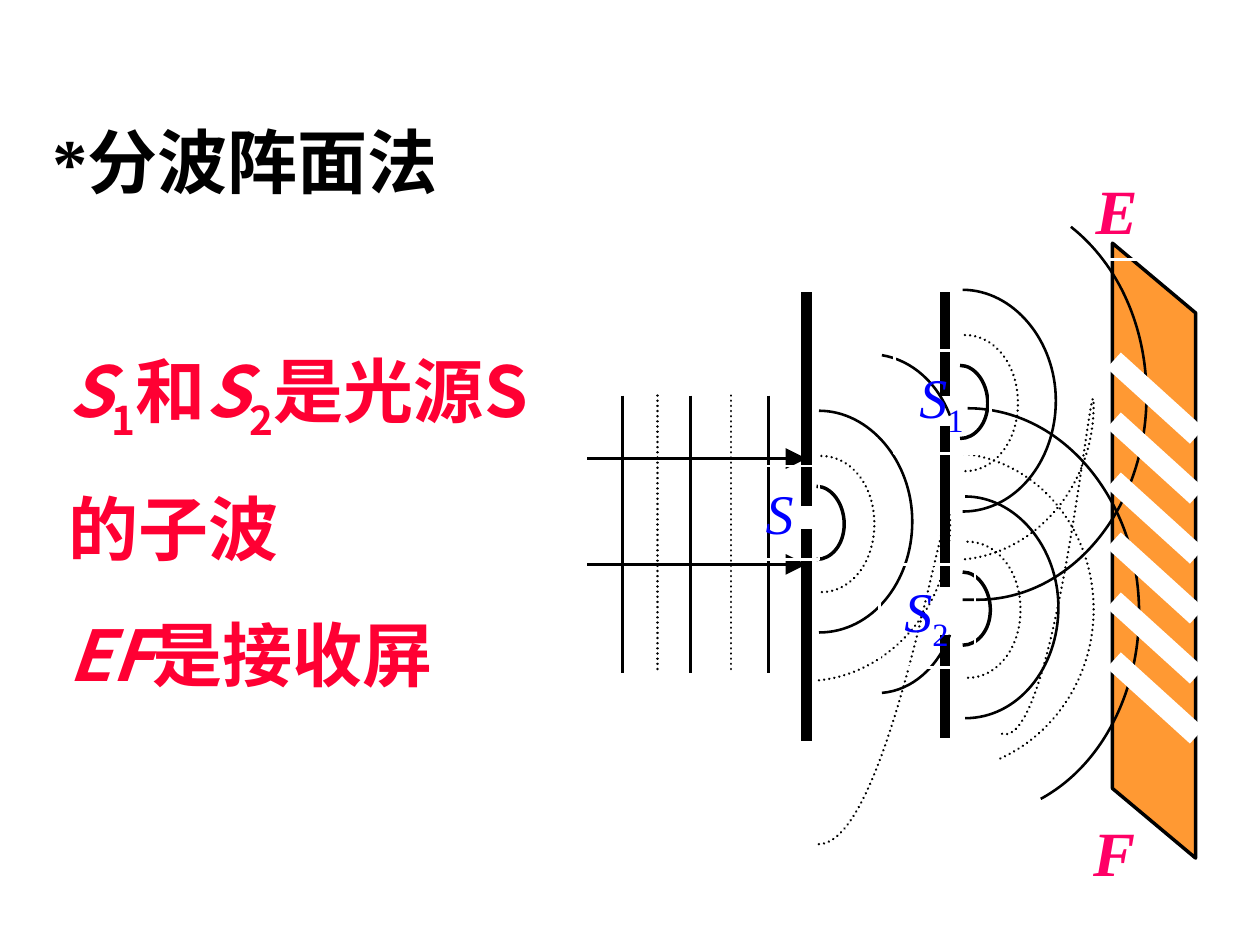
from dataclasses import dataclass

from lxml import etree
from pptx import Presentation
from pptx.dml.color import RGBColor
from pptx.enum.dml import MSO_LINE
from pptx.enum.shapes import MSO_CONNECTOR, MSO_SHAPE
from pptx.enum.text import MSO_ANCHOR, MSO_AUTO_SIZE, PP_ALIGN
from pptx.oxml.ns import qn
from pptx.util import Inches, Pt


@dataclass(frozen=True)
class Theme:
    black: str = "000000"
    white: str = "FFFFFF"
    screen: str = "FF9933"
    edge: str = "FF0066"
    note: str = "FF0033"
    source: str = "0000FF"
    serif: str = "Times New Roman"
    sans: str = "Noto Sans CJK SC"
    body_size: float = 20
    edge_size: float = 18
    source_size: float = 16
    thin: float = 0.75
    medium: float = 1
    stripe: float = 6
    barrier: float = 3


class Canvas:
    def __init__(self, slide, theme):
        self.slide = slide
        self.theme = theme

    def stroke(self, line, color, width, dotted=False):
        line.color.rgb = RGBColor.from_string(color)
        line.width = Pt(width)
        if dotted:
            line.dash_style = MSO_LINE.ROUND_DOT

    def round_cap(self, sp):
        sp._element.spPr.find(qn("a:ln")).set("cap", "rnd")

    def line(self, x1, y1, x2, y2, color, width, dotted=False, arrow=False):
        ends = [Inches(v) for v in (x1, y1, x2, y2)]
        cxn = self.slide.shapes.add_connector(MSO_CONNECTOR.STRAIGHT, *ends)
        self.stroke(cxn.line, color, width, dotted)
        spPr = cxn._element.spPr
        if dotted:
            self.round_cap(cxn)
        if arrow:
            etree.SubElement(spPr.find(qn("a:ln")), qn("a:tailEnd"), type="triangle")
        etree.SubElement(spPr, qn("a:effectLst"))

    def wave(self, points, center, width, dotted=False, origin=(0, 0)):
        start, *rest = [(Inches(x + origin[0]), Inches(y + origin[1]))
                        for x, y in points + [center]]
        builder = self.slide.shapes.build_freeform(*start)
        builder.add_line_segments(rest, close=False)
        sp = builder.convert_to_shape()
        outline = next(sp._element.iter(qn("a:path")))
        segments = outline.findall(qn("a:lnTo"))
        for segment in segments:
            outline.remove(segment)
        for i in range(0, len(segments) - 1, 3):
            curve = etree.SubElement(outline, qn("a:cubicBezTo"))
            curve.extend([segment[0] for segment in segments[i:i + 3]])
        sp.shadow.inherit = False
        sp.fill.background()
        self.stroke(sp.line, self.theme.black, width, dotted)
        if dotted:
            self.round_cap(sp)

    def screen(self, x, y, w, h, skew):
        sp = self.slide.shapes.add_shape(
            MSO_SHAPE.PARALLELOGRAM, Inches(x), Inches(y), Inches(w), Inches(h))
        sp.adjustments[0] = skew
        sp.rotation = 270
        sp.shadow.inherit = False
        sp.fill.solid()
        sp.fill.fore_color.rgb = RGBColor.from_string(self.theme.screen)
        self.stroke(sp.line, self.theme.black, self.theme.medium)

    def text(self, box, paragraphs, size, color, font, bold=False, framed=False,
             wrap=False, margins=(0.1, 0.05), spacing=None):
        area = [Inches(v) for v in box]
        if framed:
            sp = self.slide.shapes.add_shape(MSO_SHAPE.RECTANGLE, *area)
            sp.shadow.inherit = False
            sp.fill.background()
            self.stroke(sp.line, self.theme.white, self.theme.thin)
        else:
            sp = self.slide.shapes.add_textbox(*area)
        tf = sp.text_frame
        tf.word_wrap = wrap
        tf.auto_size = MSO_AUTO_SIZE.SHAPE_TO_FIT_TEXT
        tf.vertical_anchor = MSO_ANCHOR.TOP
        tf.margin_left = tf.margin_right = Inches(margins[0])
        tf.margin_top = tf.margin_bottom = Inches(margins[1])
        for i, runs in enumerate(paragraphs):
            p = tf.add_paragraph() if i else tf.paragraphs[0]
            p.alignment = PP_ALIGN.LEFT
            if spacing:
                p.line_spacing = spacing
            p.font.size = Pt(size)
            p.font.bold = bold
            p.font.name = font
            p.font.color.rgb = RGBColor.from_string(color)
            defaults = p._p.pPr.find(qn("a:defRPr"))
            etree.SubElement(defaults, qn("a:ea"), typeface=self.theme.sans)
            for content, style in runs:
                r = p.add_run()
                r.text = content
                if style == "italic":
                    r.font.italic = True
                elif style == "sub":
                    r.font._element.set("baseline", "-25000")


def main():
    theme = Theme()
    prs = Presentation()
    prs.slide_width, prs.slide_height = Inches(5), Inches(3.75)
    s = Canvas(prs.slides.add_slide(prs.slide_layouts[6]), theme)

    s.screen(3.36, 2.02, 2.44, 0.33, 0.838)
    for name, box, framed in (("E", (4.25, 0.63, 0.36, 0.4), True),
                              ("F", (4.24, 3.18, 0.36, 0.4), False)):
        s.text(box, [[(name, "italic")]], theme.edge_size, theme.edge, theme.serif,
               bold=True, framed=framed)

    for y in (1.82, 2.24):
        s.line(2.33, y, 3.2, y, theme.black, theme.thin, arrow=True)
    for i, x in enumerate((2.47, 2.61, 2.74, 2.9, 3.05)):
        s.line(x, 1.57, x, 2.67, theme.black, theme.thin, dotted=i % 2 == 1)

    barriers = {3.2: ((1.16, 2.01), (2.1, 2.94)),
                3.75: ((1.16, 1.57), (1.69, 2.33), (2.52, 2.93))}
    for x, parts in barriers.items():
        for top, bottom in parts:
            s.line(x, top, x, bottom, theme.black, theme.barrier)

    wavelets = (
        ([(0, -0.15), (0.06, -0.15), (0.11, -0.08), (0.11, 0),
          (0.11, 0.08), (0.06, 0.14), (0, 0.14)], (0, 0), theme.medium, False),
        ([(0.02, -0.27), (0.14, -0.27), (0.23, -0.15), (0.23, 0),
          (0.23, 0.15), (0.14, 0.27), (0.02, 0.27)], (0, 0), theme.thin, True),
        ([(0.01, -0.45), (0.21, -0.45), (0.38, -0.25), (0.38, -0.01),
          (0.38, 0.23), (0.22, 0.43), (0.01, 0.43)], (0, 0), theme.thin, False),
    )
    for slit in ((3.24, 2.08), (3.81, 1.6), (3.82, 2.42)):
        for wavelet in wavelets:
            s.wave(*wavelet, origin=slit)

    wide_waves = (
        ([(3.25, 2.7), (3.54, 2.67), (3.77, 2.4), (3.77, 2.08),
          (3.77, 1.76), (3.54, 3.38), (3.24, 3.35)], (3.19, 2.08), True),
        ([(3.5, 1.41), (3.62, 1.43), (3.72, 1.52), (3.77, 1.65)], (3.47, 1.85), False),
        ([(3.5, 2.75), (3.62, 2.74), (3.72, 2.65), (3.77, 2.52)], (3.47, 2.32), False),
        ([(3.83, 2.22), (4.12, 2.19), (4.34, 1.92), (4.34, 1.61),
          (4.34, 1.35), (4.19, 3.01), (3.97, 2.91)], (3.77, 1.61), True),
        ([(3.97, 3.01), (4.19, 2.91), (4.34, 2.68), (4.34, 2.42),
          (4.34, 2.1), (4.12, 1.83), (3.82, 1.8)], (3.77, 2.42), True),
        ([(4.25, 0.9), (4.44, 1.05), (4.55, 1.3), (4.55, 1.57),
          (4.55, 2.02), (4.25, 2.38), (3.88, 2.38),
          (3.86, 2.38), (3.84, 2.38), (3.82, 2.38)], (3.88, 1.57), False),
        ([(3.84, 1.62), (4.22, 1.62), (4.52, 1.99), (4.52, 2.43),
          (4.52, 2.75), (4.37, 3.04), (4.13, 3.17)], (3.84, 2.43), False),
    )
    for points, center, dotted in wide_waves:
        s.wave(points, center, theme.thin, dotted)

    notes = [
        [("S", "italic"), ("1", "sub"), ("和", None), ("S", "italic"), ("2", "sub"),
         ("是光源S的子波", None)],
        [("EF", "italic"), ("是接收屏", None)],
    ]
    s.text((0.22, 1.16, 2.01, 1.62), notes, theme.body_size, theme.note, theme.sans,
           bold=True, wrap=True, margins=(0.05, 0.03), spacing=1.5)

    for index, box in (("", (2.94, 1.85, 0.31, 0.37)),
                       ("1", (3.55, 1.39, 0.38, 0.41)),
                       ("2", (3.49, 2.24, 0.38, 0.41))):
        runs = [("S", "italic")] + ([(index, "sub")] if index else [])
        s.text(box, [runs], theme.source_size, theme.source, theme.serif, framed=True)

    s.text((0.11, 0.42, 1.82, 0.44), [[("*分波阵面法", None)]], theme.body_size,
           theme.black, theme.serif, bold=True)

    for i in range(6):
        y = 1.43 + 0.238 * i
        s.line(4.42, y, 4.75, y + 0.3, theme.white, theme.stripe)

    prs.save("out.pptx")


if __name__ == "__main__":
    main()
